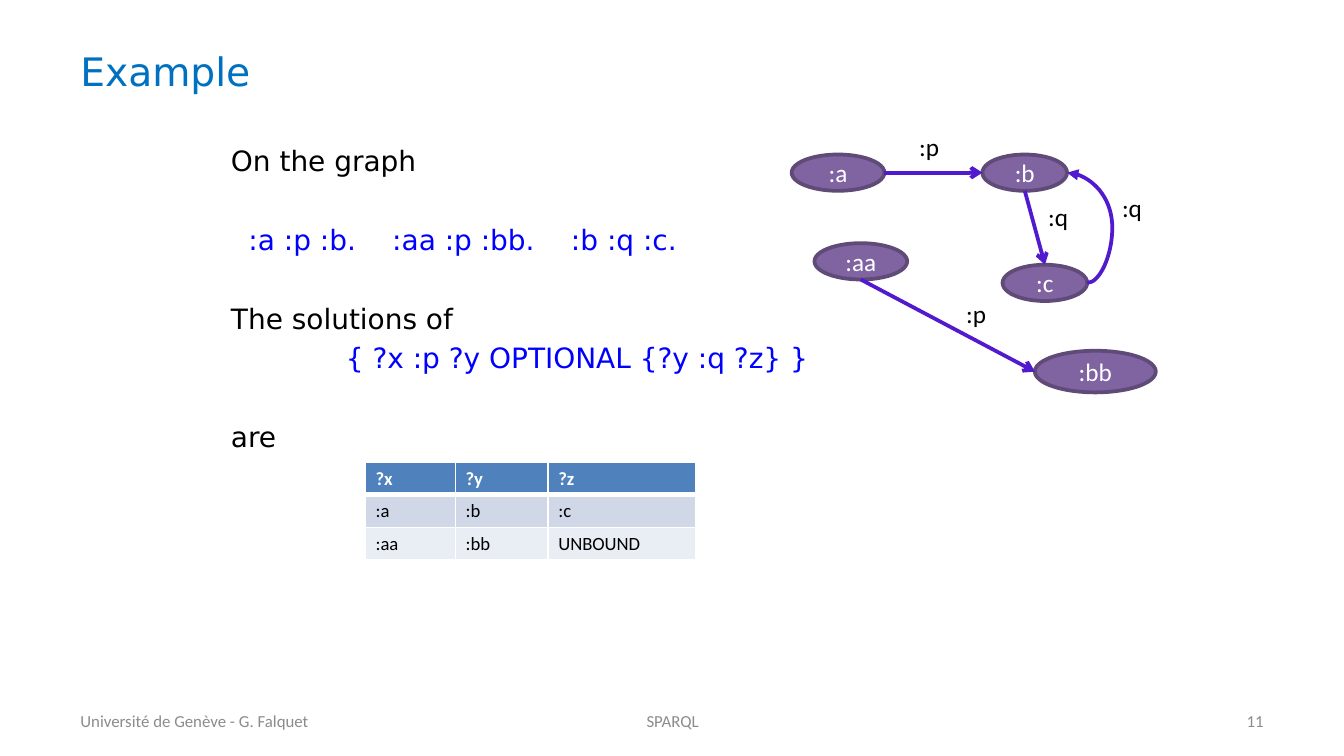
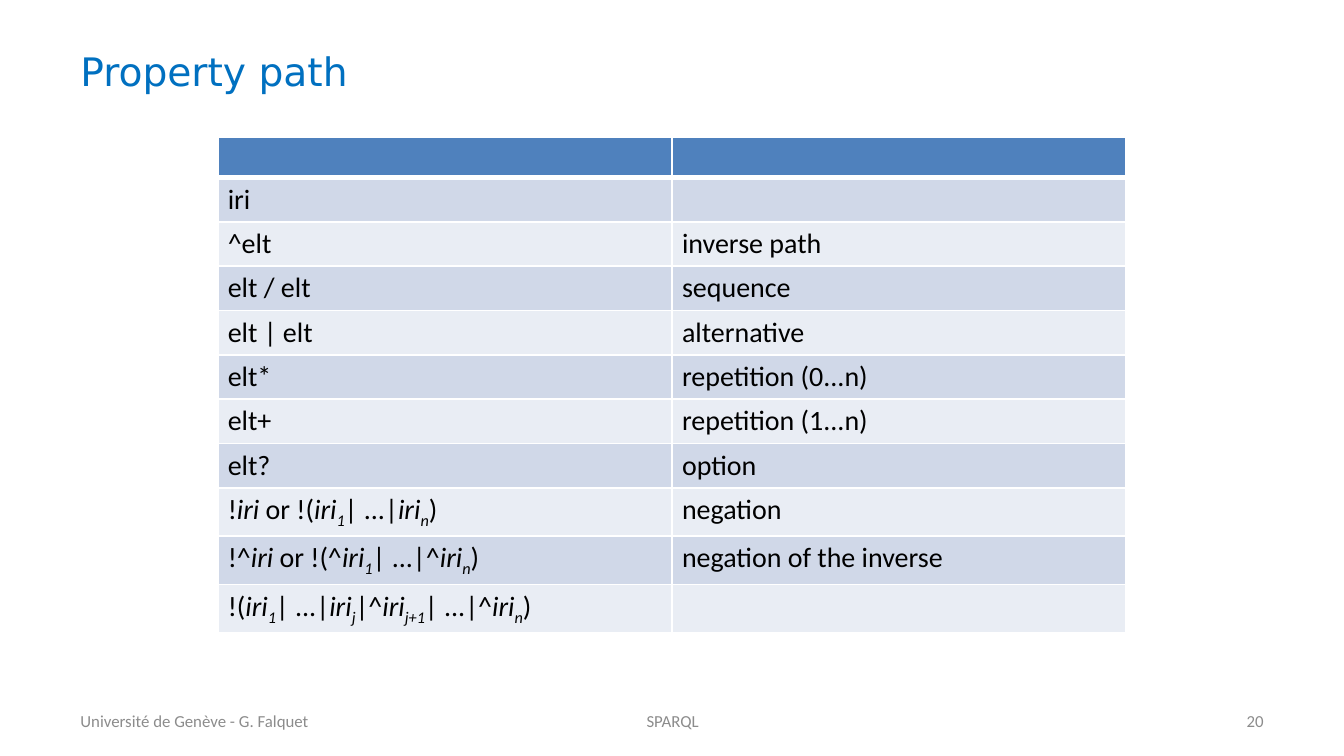
from dataclasses import dataclass

from lxml import etree
from pptx import Presentation
from pptx import util as u
from pptx.dml.color import RGBColor
from pptx.enum import shapes, text
from pptx.oxml import ns


@dataclass(frozen=True)
class Theme:
    heading_font: str = "DejaVu Sans"
    font: str = "Calibri"
    title: str = "0070C0"
    ink: str = "000000"
    code: str = "0000FF"
    footer: str = "8C8C8C"
    white: str = "FFFFFF"
    node: str = "8064A2"
    node_line: str = "5F4A78"
    edge: str = "511ACF"
    header: str = "4F81BD"
    bands: tuple = ("D0D8E8", "E9EDF4")
    title_size: float = 21
    body_size: float = 15
    graph_size: float = 13.5
    small_size: float = 10
    footer_size: float = 9


THEME = Theme()
WIDTH = 10
HEIGHT = WIDTH * 9 / 16
MARGIN = 0.5
BODY_LEFT, BODY_TOP = 1.62, 1.02
LEFT, CENTER, RIGHT = text.PP_ALIGN.LEFT, text.PP_ALIGN.CENTER, text.PP_ALIGN.RIGHT
TOP, MIDDLE = text.MSO_ANCHOR.TOP, text.MSO_ANCHOR.MIDDLE

AUTHOR, COURSE = "Université de Genève - G. Falquet", "SPARQL"

LINE_GAP, BLOCK_GAP = 3, 24.3
TRIPLE_STOPS = (0.13, 1.2, 2.53)
STATEMENTS = [
    ("On the graph", THEME.ink, LEFT, 0),
    ("\t:a :p :b.\t:aa :p :bb.\t:b :q :c.", THEME.code, LEFT, BLOCK_GAP),
    ("The solutions of", THEME.ink, LEFT, BLOCK_GAP),
    ("{ ?x :p ?y OPTIONAL {?y :q ?z} }", THEME.code, CENTER, LINE_GAP),
    ("are", THEME.ink, LEFT, BLOCK_GAP),
]

NODES = {
    ":a": (5.89, 1.15, 0.69, 0.27),
    ":b": (7.31, 1.15, 0.63, 0.27),
    ":c": (7.46, 1.97, 0.63, 0.27),
    ":aa": (6.06, 1.81, 0.69, 0.27),
    ":bb": (7.7, 2.61, 0.9, 0.31),
}
EDGES = [
    (":a", "right", ":b", "left", ":p", (6.74, 0.93)),
    (":aa", "bottom", ":bb", "left", ":p", (7.09, 2.17)),
    (":b", "bottom", ":c", "top", ":q", (7.7, 1.45)),
    (":c", "right", ":b", "right", ":q", (8.25, 1.38)),
]
SIDES = {"top": (0.5, 0), "left": (0, 0.5), "bottom": (0.5, 1), "right": (1, 0.5)}
CURVE_BEND = -124200

SOLUTIONS = [
    ["?x", "?y", "?z"],
    [":a", ":b", ":c"],
    [":aa", ":bb", "UNBOUND"],
]


def iri(index=None):
    return [("iri", "italic")] + ([(index, "subscript")] if index else [])


PATHS = [
    ["", ""],
    ["iri", ""],
    ["^elt", "inverse path"],
    ["elt / elt", "sequence"],
    ["elt | elt", "alternative"],
    ["elt*", "repetition (0...n)"],
    ["elt+", "repetition (1...n)"],
    ["elt?", "option"],
    [["!", *iri(), " or !(", *iri("1"), "| ...|", *iri("n"), ")"], "negation"],
    [["!^", *iri(), " or !(^", *iri("1"), "| ...|^", *iri("n"), ")"], "negation of the inverse"],
    [["!(", *iri("1"), "| ...|", *iri("j"), "|^", *iri("j+1"), "| ...|^", *iri("n"), ")"], ""],
]


def inches(*values):
    return [u.Inches(value) for value in values]


def color(value):
    return RGBColor.from_string(value)


def add_xml(parent, tag, **attributes):
    return etree.SubElement(parent, ns.qn(tag), attributes)


def style(paragraph, size, ink, font=THEME.font, align=LEFT, bold=False):
    paragraph.alignment = align
    paragraph.font.size = u.Pt(size)
    paragraph.font.name = font
    paragraph.font.bold = bold
    paragraph.font.color.rgb = color(ink)


def add_text(slide, box, content, size, ink, font=THEME.font, align=LEFT,
             anchor=MIDDLE, wrap=True):
    frame = slide.shapes.add_textbox(*inches(*box)).text_frame
    frame.word_wrap = wrap
    frame.vertical_anchor = anchor
    frame.text = content
    style(frame.paragraphs[0], size, ink, font, align)


def add_page(presentation, title, number):
    slide = presentation.slides.add_slide(presentation.slide_layouts[6])
    add_text(slide, (MARGIN, 0.23, WIDTH - 2 * MARGIN, 0.6), title,
             THEME.title_size, THEME.title, THEME.heading_font)
    for left, width, content, align in [
        (MARGIN, 2.92, AUTHOR, LEFT),
        (3.42, 3.17, COURSE, CENTER),
        (7.17, 2.33, str(number), RIGHT),
    ]:
        add_text(slide, (left, 5.21, width, 0.3), content,
                 THEME.footer_size, THEME.footer, align=align)
    return slide


def add_statements(slide):
    box = inches(BODY_LEFT, BODY_TOP, 5.35, 4)
    frame = slide.shapes.add_textbox(*box).text_frame
    frame.word_wrap = True
    for index, (content, ink, align, gap) in enumerate(STATEMENTS):
        paragraph = frame.paragraphs[0] if index == 0 else frame.add_paragraph()
        paragraph.space_before = u.Pt(gap)
        if "\t" in content:
            stops = add_xml(paragraph._p.get_or_add_pPr(), "a:tabLst")
            for stop in TRIPLE_STOPS:
                add_xml(stops, "a:tab", pos=str(u.Inches(stop)), algn="l")
        paragraph.add_run().text = content
        style(paragraph, THEME.body_size, ink, THEME.heading_font, align)


def side_point(node, side):
    left, top, width, height = NODES[node]
    across, down = SIDES[side]
    return left + across * width, top + down * height


def add_edge(slide, start, start_side, end, end_side):
    curved = start_side == end_side
    kind = shapes.MSO_CONNECTOR.CURVE if curved else shapes.MSO_CONNECTOR.STRAIGHT
    points = side_point(start, start_side) + side_point(end, end_side)
    edge = slide.shapes.add_connector(kind, *inches(*points))
    edge.line.color.rgb = color(THEME.edge)
    edge.line.width = u.Pt(2)
    properties = edge._element.spPr
    add_xml(edge.line._get_or_add_ln(), "a:tailEnd", type="triangle" if curved else "arrow")
    add_xml(properties, "a:effectLst")
    if curved:
        guides = properties.find(ns.qn("a:prstGeom")).find(ns.qn("a:avLst"))
        add_xml(guides, "a:gd", name="adj1", fmla=f"val {CURVE_BEND}")


def add_graph(slide):
    for name, box in NODES.items():
        node = slide.shapes.add_shape(shapes.MSO_SHAPE.OVAL, *inches(*box))
        node.shadow.inherit = False
        node.fill.solid()
        node.fill.fore_color.rgb = color(THEME.node)
        node.line.color.rgb = color(THEME.node_line)
        node.line.width = u.Pt(2)
        frame = node.text_frame
        frame.word_wrap = False
        frame.vertical_anchor = MIDDLE
        frame.text = name
        style(frame.paragraphs[0], THEME.graph_size, THEME.white, align=CENTER)
    for *ends, label, place in EDGES:
        add_edge(slide, *ends)
        add_text(slide, (*place, 0.35, 0.33), label, THEME.graph_size, THEME.ink,
                 anchor=TOP, wrap=False)


def add_borders(cell, is_header):
    properties = cell._tc.get_or_add_tcPr()
    for side in "LRTB":
        width = 3 if is_header and side == "B" else 1
        line = add_xml(properties, f"a:ln{side}", w=str(u.Pt(width)))
        add_xml(add_xml(line, "a:solidFill"), "a:srgbClr", val=THEME.white)


def fill_cell(cell, content, row, size):
    is_header = row == 0
    cell.margin_left = cell.margin_right = u.Pt(5.4)
    cell.margin_top = cell.margin_bottom = u.Pt(2.7)
    add_borders(cell, is_header)
    cell.fill.solid()
    cell.fill.fore_color.rgb = color(THEME.header if is_header else THEME.bands[(row - 1) % 2])
    paragraph = cell.text_frame.paragraphs[0]
    style(paragraph, size, THEME.white if is_header else THEME.ink, bold=is_header)
    if not content:
        add_xml(paragraph._p, "a:endParaRPr", sz=str(u.Pt(THEME.graph_size).centipoints))
        return
    for piece in [content] if isinstance(content, str) else content:
        words, look = (piece, None) if isinstance(piece, str) else piece
        run = paragraph.add_run()
        run.text = words
        if look:
            run.font.italic = True
        if look == "subscript":
            run._r.get_or_add_rPr().set("baseline", "-25000")


def add_grid(slide, left, top, columns, header_height, row_height, rows, size):
    heights = [header_height] + [row_height] * (len(rows) - 1)
    box = inches(left, top, sum(columns), sum(heights))
    table = slide.shapes.add_table(len(rows), len(columns), *box).table
    for column, width in zip(table.columns, columns):
        column.width = u.Inches(width)
    for index, (height, row) in enumerate(zip(heights, rows)):
        table.rows[index].height = u.Inches(height)
        for place, content in enumerate(row):
            fill_cell(table.cell(index, place), content, index, size)


def main():
    presentation = Presentation()
    presentation.slide_width, presentation.slide_height = inches(WIDTH, HEIGHT)

    example = add_page(presentation, "Example", 11)
    add_statements(example)
    add_graph(example)
    add_grid(example, 2.72, 3.44, (0.67, 0.69, 1.1), 0.24, 0.24, SOLUTIONS, THEME.small_size)

    property_path = add_page(presentation, "Property path", 20)
    add_grid(property_path, BODY_LEFT, BODY_TOP, (3.38, 3.38), 0.3, 0.33, PATHS, THEME.body_size)

    presentation.save("out.pptx")


if __name__ == "__main__":
    main()
